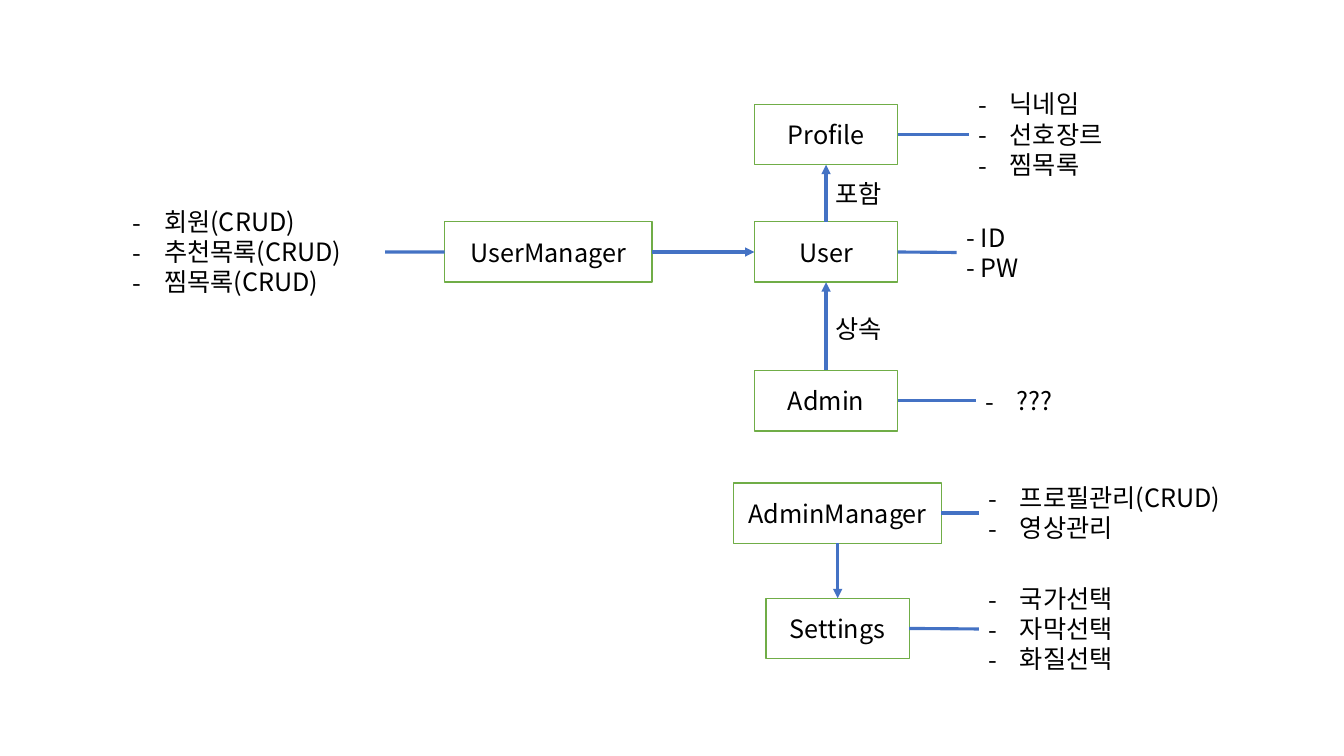
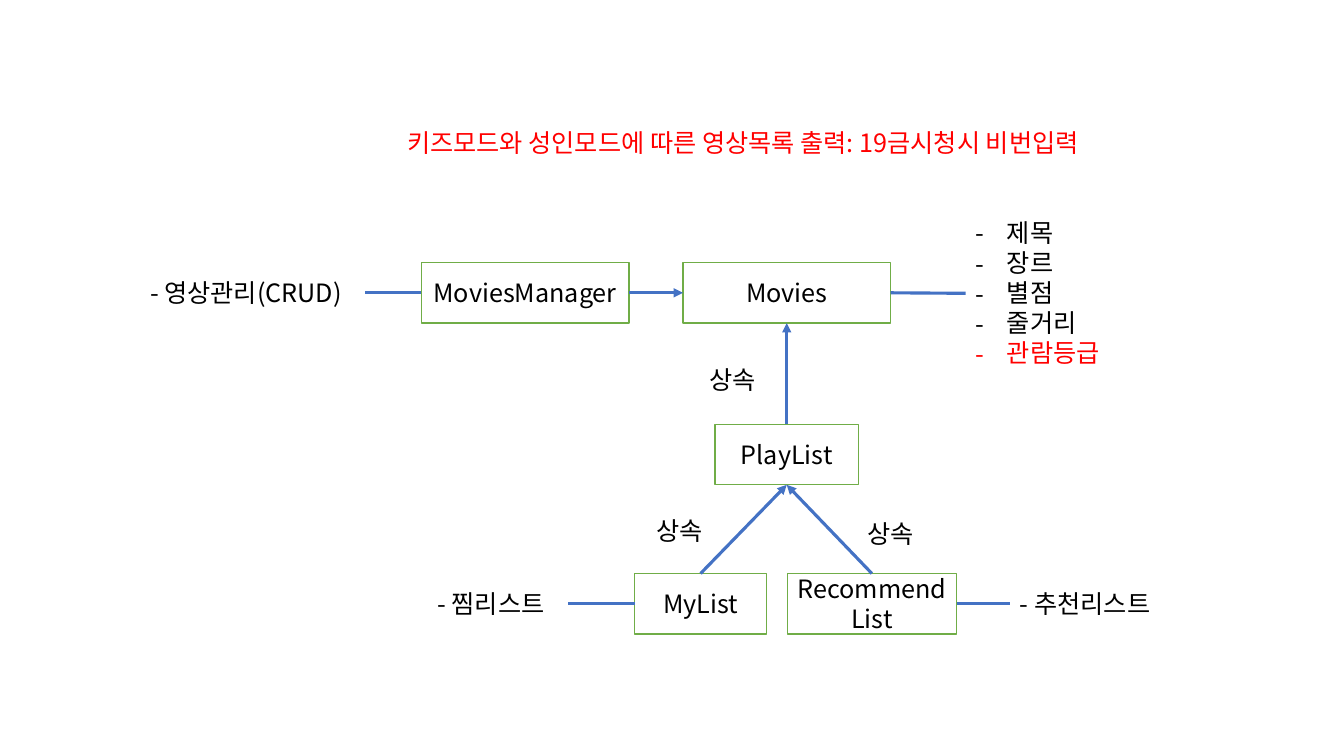
from dataclasses import dataclass

from lxml.etree import SubElement
from pptx import Presentation
from pptx.dml.color import RGBColor
from pptx.enum.shapes import MSO_CONNECTOR, MSO_SHAPE
from pptx.enum.text import MSO_ANCHOR, MSO_AUTO_SIZE, PP_ALIGN
from pptx.oxml.ns import qn
from pptx.util import Inches, Pt

FONT = "Noto Sans CJK KR"
BLACK, WHITE, RED = "000000", "FFFFFF", "FF0000"
GREEN, BLUE = "70AD47", "4472C4"

# The grid has ten columns and ten rows to the inch.
COLUMNS, ROWS = 133.33, 75
CELL = Inches(0.1)
BOX_ROWS = 6
LINE_ROWS, MARGIN_ROWS = 3.03, 1
INDENT = Inches(0.31)

# Connection sites of a rectangle.
TOP, LEFT, BOTTOM, RIGHT = range(4)


@dataclass(frozen=True)
class ClassBox:
    """A class of the diagram, placed by its top left corner."""
    name: str
    left: float
    top: float
    width: float = 14.2


@dataclass(frozen=True)
class Note:
    """Lines of text, centred vertically on the given row."""
    key: str
    left: float
    middle: float
    width: float
    lines: tuple[str, ...]
    bullets: bool = False
    wrap: bool = False
    red_line: str = ""


@dataclass(frozen=True)
class Link:
    """A line from a side of one item to a side of another."""
    start: str
    start_side: int
    end: str
    end_side: int
    arrow: bool = False


@dataclass(frozen=True)
class Diagram:
    """Everything on one slide."""
    boxes: tuple[ClassBox, ...]
    notes: tuple[Note, ...]
    links: tuple[Link, ...]


def cells(count):
    """Turn a number of grid cells into a length."""
    return int(count * CELL)


def colour(value):
    """Turn a hex string into a colour."""
    return RGBColor.from_string(value)


def format_text(para, text_colour):
    """Give every run of a paragraph the shared font."""
    for span in para.runs:
        span.font.size = Pt(18)
        span.font.name = FONT
        span.font.color.rgb = colour(text_colour)
        SubElement(span.font._element, qn("a:ea"), typeface=FONT)


def add_dash(para):
    """Make a paragraph a dashed list item."""
    properties = para._p.get_or_add_pPr()
    properties.set("marL", str(INDENT))
    properties.set("indent", str(-INDENT))
    SubElement(properties, qn("a:buFont"), typeface=FONT)
    SubElement(properties, qn("a:buChar"), char="-")


def draw_box(page, item: ClassBox):
    """Draw a class as an outlined rectangle."""
    box = page.shapes.add_shape(MSO_SHAPE.RECTANGLE, cells(item.left), cells(item.top),
                                cells(item.width), cells(BOX_ROWS))
    box.shadow.inherit = False
    box.fill.solid()
    box.fill.fore_color.rgb = colour(WHITE)
    box.line.color.rgb = colour(GREEN)
    box.line.width = Pt(1)
    frame = box.text_frame
    frame.text = item.name
    frame.word_wrap = True
    frame.vertical_anchor = MSO_ANCHOR.MIDDLE
    para = frame.paragraphs[0]
    para.alignment = PP_ALIGN.CENTER
    format_text(para, BLACK)
    return box


def draw_note(page, note: Note):
    """Draw a text box as high as its lines."""
    height = MARGIN_ROWS + LINE_ROWS * len(note.lines)
    box = page.shapes.add_textbox(cells(note.left), cells(note.middle - height / 2),
                                  cells(note.width), cells(height))
    frame = box.text_frame
    frame.text = "\n".join(note.lines)
    frame.word_wrap = note.wrap
    frame.auto_size = MSO_AUTO_SIZE.SHAPE_TO_FIT_TEXT
    for para in frame.paragraphs:
        format_text(para, RED if para.text == note.red_line else BLACK)
        if note.bullets:
            add_dash(para)
    return box


def draw_link(page, link: Link, items: dict):
    """Connect two drawn items, with an arrowhead if asked."""
    line = page.shapes.add_connector(MSO_CONNECTOR.STRAIGHT, 0, 0, 0, 0)
    line.begin_connect(items[link.start], link.start_side)
    line.end_connect(items[link.end], link.end_side)
    line.line.color.rgb = colour(BLUE)
    line.line.width = Pt(2.25)
    if link.arrow:
        SubElement(line.line._get_or_add_ln(), qn("a:tailEnd"), type="triangle")
    SubElement(line._element.spPr, qn("a:effectLst"))


def draw_diagram(deck, diagram: Diagram):
    """Add a blank slide and draw a diagram on it."""
    page = deck.slides.add_slide(deck.slide_layouts[6])
    items = {box.name: draw_box(page, box) for box in diagram.boxes}
    items |= {note.key: draw_note(page, note) for note in diagram.notes}
    for link in diagram.links:
        draw_link(page, link, items)


USERS = Diagram(
    boxes=(
        ClassBox("Profile", 74.85, 10.35),
        ClassBox("User", 74.85, 22),
        ClassBox("Admin", 74.85, 36.75),
        ClassBox("UserManager", 44.1, 22, 20.6),
        ClassBox("AdminManager", 72.8, 47.9, 20.6),
        ClassBox("Settings", 76, 59.35),
    ),
    notes=(
        Note("profile fields", 96.1, 13.35, 15.3, ("닉네임", "선호장르", "찜목록"), bullets=True),
        Note("user fields", 94.9, 25.05, 7.8, ("- ID", "- PW")),
        Note("admin fields", 96.8, 39.75, 12, ("???",), bullets=True, wrap=True),
        Note("user tasks", 12.2, 25, 26,
             ("회원(CRUD)", "추천목록(CRUD)", "찜목록(CRUD)"), bullets=True, wrap=True),
        Note("admin tasks", 97.1, 50.9, 26.1, ("프로필관리(CRUD)", "영상관리"), bullets=True),
        Note("setting choices", 97.1, 62.4, 15.3,
             ("국가선택", "자막선택", "화질선택"), bullets=True),
        Note("profile relation", 81.9, 19.2, 7.1, ("포함",)),
        Note("admin relation", 81.9, 32.6, 7.1, ("상속",)),
    ),
    links=(
        Link("User", TOP, "Profile", BOTTOM, arrow=True),
        Link("Admin", TOP, "User", BOTTOM, arrow=True),
        Link("UserManager", RIGHT, "User", LEFT, arrow=True),
        Link("AdminManager", BOTTOM, "Settings", TOP, arrow=True),
        Link("Profile", RIGHT, "profile fields", LEFT),
        Link("User", RIGHT, "user fields", LEFT),
        Link("Admin", RIGHT, "admin fields", LEFT),
        Link("UserManager", LEFT, "user tasks", RIGHT),
        Link("AdminManager", RIGHT, "admin tasks", LEFT),
        Link("Settings", RIGHT, "setting choices", LEFT),
    ),
)

HEADLINE = "키즈모드와 성인모드에 따른 영상목록 출력: 19금시청시 비번입력"

MOVIES = Diagram(
    boxes=(
        ClassBox("MoviesManager", 41.8, 26.05, 20.6),
        ClassBox("Movies", 67.75, 26.05, 20.6),
        ClassBox("PlayList", 70.95, 42.1),
        ClassBox("MyList", 62.95, 56.9, 13.1),
        ClassBox("RecommendList", 78.1, 56.9, 16.8),
    ),
    notes=(
        Note("headline", 39.4, 14.2, 76.3, (HEADLINE,), red_line=HEADLINE),
        Note("movie fields", 95.8, 29.1, 17.9,
             ("제목", "장르", "별점", "줄거리", "관람등급"),
             bullets=True, wrap=True, red_line="관람등급"),
        Note("movie tasks", 13.9, 29.05, 22.3, ("- 영상관리(CRUD)",)),
        Note("my items", 42.4, 59.9, 14, ("- 찜리스트",)),
        Note("recommended items", 100.2, 59.9, 16.6, ("- 추천리스트",)),
        Note("play relation", 69.4, 37.7, 7.1, ("상속",)),
        Note("my relation", 64.1, 52.6, 7.1, ("상속",)),
        Note("recommend relation", 85.1, 52.9, 7.1, ("상속",)),
    ),
    links=(
        Link("MoviesManager", RIGHT, "Movies", LEFT, arrow=True),
        Link("PlayList", TOP, "Movies", BOTTOM, arrow=True),
        Link("MyList", TOP, "PlayList", BOTTOM, arrow=True),
        Link("RecommendList", TOP, "PlayList", BOTTOM, arrow=True),
        Link("Movies", RIGHT, "movie fields", LEFT),
        Link("MoviesManager", LEFT, "movie tasks", RIGHT),
        Link("MyList", LEFT, "my items", RIGHT),
        Link("RecommendList", RIGHT, "recommended items", LEFT),
    ),
)

deck = Presentation()
deck.slide_width, deck.slide_height = cells(COLUMNS), cells(ROWS)
for diagram in (USERS, MOVIES):
    draw_diagram(deck, diagram)
deck.save("out.pptx")
